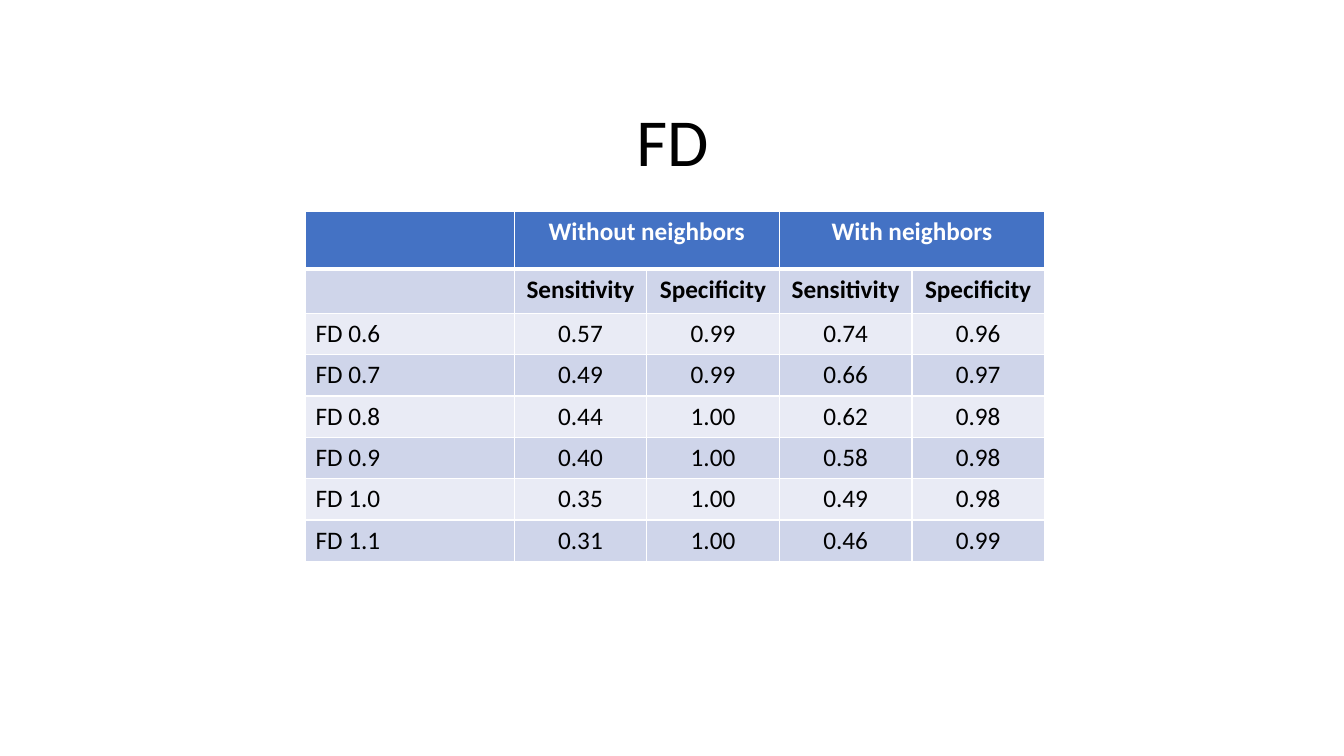
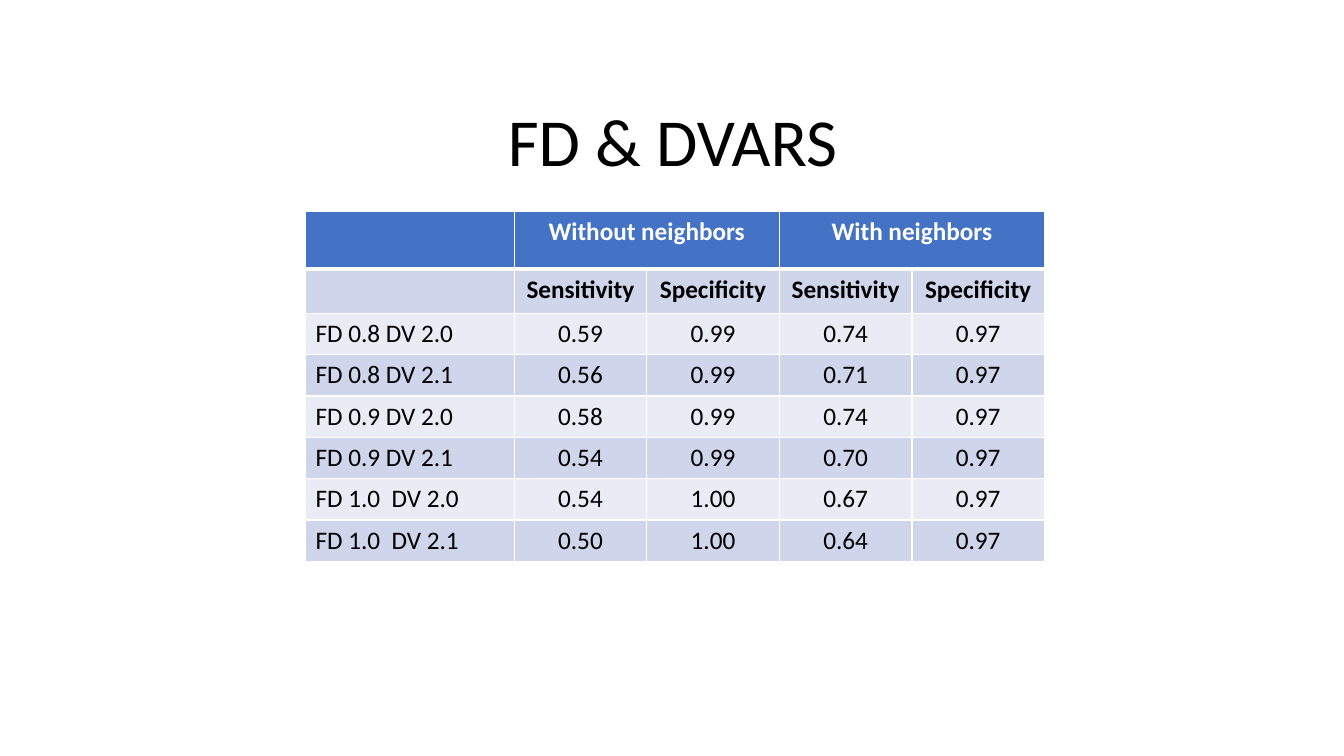
from lxml.etree import SubElement
from pptx import Presentation
from pptx.dml.color import RGBColor
from pptx.enum.text import MSO_ANCHOR as ANCHOR, MSO_AUTO_SIZE as AUTO_SIZE, PP_ALIGN as ALIGN
from pptx.oxml.ns import qn
from pptx.util import Inches, Pt

# Shared style
FONT = "Calibri"
BLACK = RGBColor(0x00, 0x00, 0x00)
WHITE = RGBColor(0xFF, 0xFF, 0xFF)
HEADER_BLUE = RGBColor(0x44, 0x72, 0xC4)
BAND_DARK = RGBColor(0xCF, 0xD5, 0xEA)
BAND_LIGHT = RGBColor(0xE9, 0xEB, 0xF5)

# Table layout and shared headings
LABEL_W, VALUE_W = 2.07, 1.315
HEADER_H, SUBHEADER_H, ROW_H = 0.57, 0.44, 0.41
GROUPS = ["Without neighbors", "With neighbors"]
MEASURES = ["Sensitivity", "Specificity"]

# Slide content
FD_ROWS = [
    ("FD 0.6", "0.57", "0.99", "0.74", "0.96"),
    ("FD 0.7", "0.49", "0.99", "0.66", "0.97"),
    ("FD 0.8", "0.44", "1.00", "0.62", "0.98"),
    ("FD 0.9", "0.40", "1.00", "0.58", "0.98"),
    ("FD 1.0", "0.35", "1.00", "0.49", "0.98"),
    ("FD 1.1", "0.31", "1.00", "0.46", "0.99"),
]
FD_DVARS_ROWS = [
    ("FD 0.8 DV 2.0", "0.59", "0.99", "0.74", "0.97"),
    ("FD 0.8 DV 2.1", "0.56", "0.99", "0.71", "0.97"),
    ("FD 0.9 DV 2.0", "0.58", "0.99", "0.74", "0.97"),
    ("FD 0.9 DV 2.1", "0.54", "0.99", "0.70", "0.97"),
    ("FD 1.0  DV 2.0", "0.54", "1.00", "0.67", "0.97"),
    ("FD 1.0  DV 2.1", "0.50", "1.00", "0.64", "0.97"),
]


def write(tf, text, size=18, color=BLACK, bold=False, align=ALIGN.CENTER, spacing=None):
    p = tf.paragraphs[0]
    p.alignment = align
    p.line_spacing = spacing
    p.font.size = Pt(size)
    if text:
        r = p.add_run()
        r.text = text
        r.font.name, r.font.size, r.font.bold = FONT, Pt(size), bold
        r.font.color.rgb = color


def add_title(s, text):
    title = s.shapes.title
    title.left, title.top = Inches(0.92), Inches(0.4)
    title.width, title.height = Inches(11.5), Inches(1.45)
    tf = title.text_frame
    tf.word_wrap = True
    tf.auto_size = AUTO_SIZE.NONE
    tf.vertical_anchor = ANCHOR.BOTTOM
    write(tf, text, size=48, spacing=0.9)


def set_borders(cell, top=1, bottom=1):
    tcPr = cell._tc.get_or_add_tcPr()
    for side, width in (("L", 1), ("R", 1), ("T", top), ("B", bottom)):
        ln = SubElement(tcPr, qn(f"a:ln{side}"), w=str(Pt(width)))
        SubElement(SubElement(ln, qn("a:solidFill")), qn("a:srgbClr"), val=str(WHITE))


def style_cell(cell, row):
    # Borders come before the fill in the cell properties
    set_borders(cell, top=3 if row == 1 else 1, bottom=3 if row == 0 else 1)
    cell.fill.solid()
    if row == 0:
        cell.fill.fore_color.rgb = HEADER_BLUE
    else:
        cell.fill.fore_color.rgb = BAND_DARK if row % 2 else BAND_LIGHT


def add_results_table(s, results):
    group_row = [""]
    for group in GROUPS:
        group_row += [group] + [""] * (len(MEASURES) - 1)
    rows = [group_row, [""] + MEASURES * len(GROUPS), *results]
    widths = [LABEL_W] + [VALUE_W] * (len(group_row) - 1)
    heights = [HEADER_H, SUBHEADER_H] + [ROW_H] * len(results)

    table = s.shapes.add_table(len(rows), len(widths), Inches(3.03), Inches(2.1),
                               Inches(sum(widths)), Inches(sum(heights))).table
    table.horz_banding = False
    for column, width in zip(table.columns, widths):
        column.width = Inches(width)
    for row, height in zip(table.rows, heights):
        row.height = Inches(height)

    # Cells
    for i, texts in enumerate(rows):
        for j, text in enumerate(texts):
            cell = table.cell(i, j)
            style_cell(cell, i)
            write(cell.text_frame, text, bold=i < 2,
                  color=WHITE if i == 0 else BLACK,
                  align=ALIGN.LEFT if j == 0 else ALIGN.CENTER)

    # Each group heading spans its measures
    span = len(MEASURES)
    for j in range(1, len(widths), span):
        table.cell(0, j).merge(table.cell(0, j + span - 1))


def main():
    prs = Presentation()
    prs.slide_width, prs.slide_height = Inches(13.33), Inches(7.5)
    title_only = prs.slide_layouts[5]
    for title, results in (("FD", FD_ROWS), ("FD & DVARS", FD_DVARS_ROWS)):
        s = prs.slides.add_slide(title_only)
        add_title(s, title)
        add_results_table(s, results)
    prs.save("out.pptx")


main()
